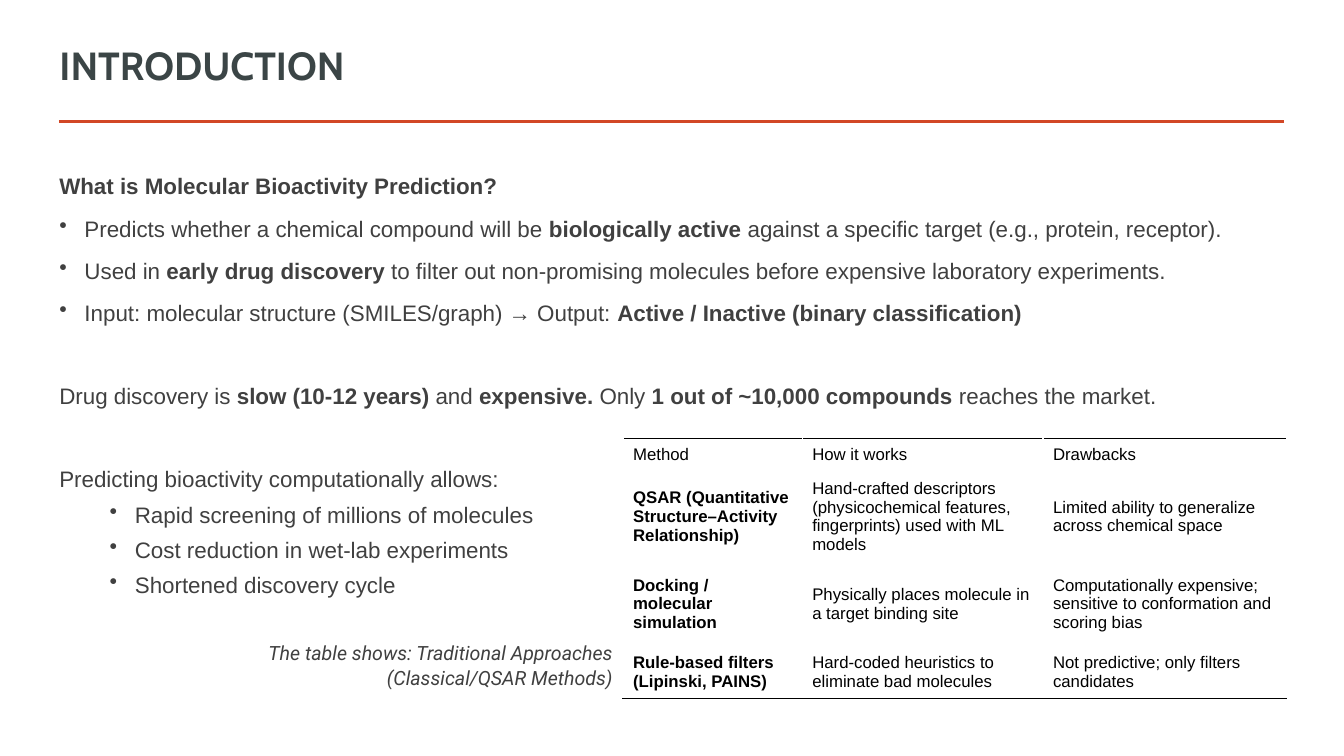
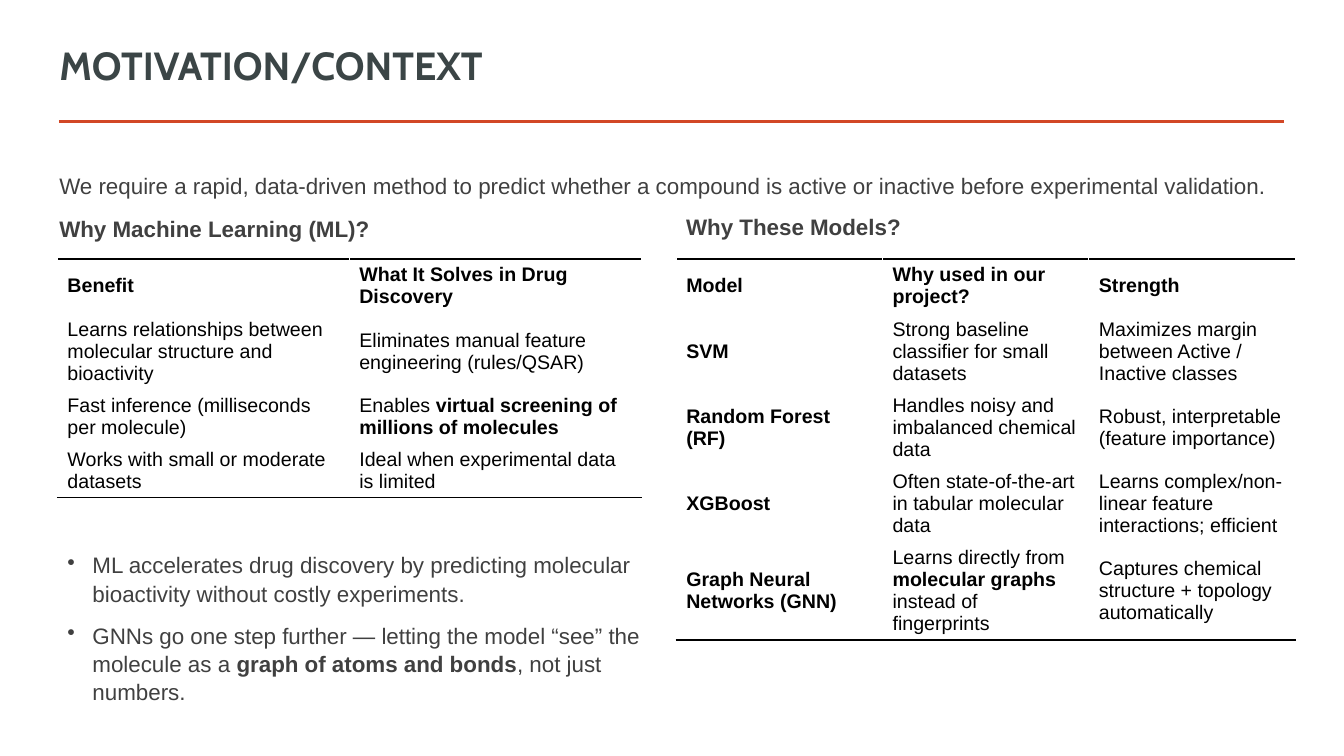
from lxml.etree import SubElement
from pptx import Presentation
from pptx.dml.color import RGBColor
from pptx.enum.shapes import MSO_CONNECTOR
from pptx.enum.text import MSO_ANCHOR, MSO_AUTO_SIZE, PP_ALIGN
from pptx.oxml import parse_xml
from pptx.oxml.ns import qn
from pptx.util import Pt

TOP, MIDDLE = MSO_ANCHOR.TOP, MSO_ANCHOR.MIDDLE
LEFT, RIGHT = PP_ALIGN.LEFT, PP_ALIGN.RIGHT
FIXED = MSO_AUTO_SIZE.NONE
STRAIGHT = MSO_CONNECTOR.STRAIGHT
NS = "http://schemas.openxmlformats.org/drawingml/2006/main"
RED, SLATE, GREY, BLACK = "D24726", "3B4546", "404040", "000000"
GAP, WIDE, TIGHT = 10, 39.3, 5
BULLET, NESTED = 18, 54


def color(code):
    """Turn a hex string into a colour."""
    return RGBColor.from_string(code)


class Deck:
    """Holds the shared style and the current slide."""

    def __init__(self):
        """Open an empty wide deck."""
        self.show = Presentation()
        self.show.slide_width, self.show.slide_height = Pt(960), Pt(540)
        self.slide = None

    def start(self, name):
        """Add a slide with its title and red rule."""
        self.slide = self.show.slides.add_slide(self.show.slide_layouts[5])
        title = self.slide.shapes.title
        title.left, title.top, title.width, title.height = Pt(35.3), Pt(32.4), Pt(720), Pt(50.4)
        frame = title.text_frame
        frame.auto_size, frame.vertical_anchor = FIXED, TOP
        para = frame.paragraphs[0]
        para.alignment, para.line_spacing = LEFT, 0.8
        self.put(para, f"*{name}*", 28, SLATE, "Cabin")
        self.rule()

    def rule(self):
        """Draw the line under the title."""
        line = self.slide.shapes.add_connector(STRAIGHT, Pt(42), Pt(87), Pt(917.3), Pt(87))
        line.line.color.rgb, line.line.width = color(RED), Pt(2)
        SubElement(line._element.spPr, qn("a:effectLst"))

    def put(self, para, text, size, tint, face="Arial", slant=False):
        """Add runs, with bold parts set between asterisks."""
        for rank, part in enumerate(text.split("*")):
            if part:
                run = para.add_run()
                run.text = part
                font = run.font
                font.name, font.size, font.bold, font.italic = face, Pt(size), rank % 2 == 1, slant
                font.color.rgb = color(tint)

    def text(self, box, items, size=16, face="Arial", slant=False, align=LEFT):
        """Add a text box from (text, space before, indent) items."""
        frame = self.slide.shapes.add_textbox(*map(Pt, box)).text_frame
        frame.word_wrap, frame.auto_size = True, FIXED
        for rank, (words, space, indent) in enumerate(items):
            para = frame.add_paragraph() if rank else frame.paragraphs[0]
            para.alignment, para.line_spacing, para.space_before = align, 1.05, Pt(space)
            if indent:
                props = para._p.get_or_add_pPr()
                props.set("marL", str(Pt(indent)))
                props.set("indent", str(-Pt(BULLET)))
                SubElement(props, qn("a:buChar")).set("char", "•")
            self.put(para, words, size, GREY, face, slant)

    def edge(self, cell, side):
        """Draw a thin black border on one side of a cell."""
        cell._tc.get_or_add_tcPr().insert(0, parse_xml(
            f'<a:{side} xmlns:a="{NS}" w="{Pt(1)}"><a:solidFill>'
            f'<a:srgbClr val="{BLACK}"/></a:solidFill></a:{side}>'))

    def table(self, left, top, cols, rows, data, size):
        """Add a plain table ruled above and below."""
        grid = self.slide.shapes.add_table(
            len(rows), len(cols), Pt(left), Pt(top), Pt(sum(cols)), Pt(sum(rows))).table
        grid.first_row = grid.horz_banding = False
        for col, width in zip(grid.columns, cols):
            col.width = Pt(width)
        for row, height in zip(grid.rows, rows):
            row.height = Pt(height)
        for y, line in enumerate(data):
            for x, words in enumerate(line):
                cell = grid.cell(y, x)
                cell.fill.background()
                cell.vertical_anchor = MIDDLE
                self.put(cell.text_frame.paragraphs[0], words, size, BLACK)
                if y == 0:
                    self.edge(cell, "lnT")
                if y == len(data) - 1:
                    self.edge(cell, "lnB")


def intro(deck):
    """Build the introduction."""
    deck.start("INTRODUCTION")
    deck.text((35.3, 118.8, 884, 389), [
        ("*What is Molecular Bioactivity Prediction?*", GAP, 0),
        ("Predicts whether a chemical compound will be *biologically active* against a specific "
         "target (e.g., protein, receptor).", GAP, BULLET),
        ("Used in *early drug discovery* to filter out non-promising molecules before expensive "
         "laboratory experiments.", GAP, BULLET),
        ("Input: molecular structure (SMILES/graph) → Output: "
         "*Active / Inactive (binary classification)*", GAP, BULLET),
        ("Drug discovery is *slow (10-12 years)* and *expensive. *Only "
         "*1 out of ~10,000 compounds* reaches the market.", WIDE, 0),
        ("Predicting bioactivity computationally allows:", WIDE, 0),
        ("Rapid screening of millions of molecules", TIGHT, NESTED),
        ("Cost reduction in wet-lab experiments", TIGHT, NESTED),
        ("Shortened discovery cycle", TIGHT, NESTED),
    ])
    deck.table(445, 313, [128, 172, 174], [23, 66, 59, 38], [
        ("Method", "How it works", "Drawbacks"),
        ("*QSAR (Quantitative Structure–Activity Relationship)*",
         "Hand-crafted descriptors (physicochemical features, fingerprints) used with ML models",
         "Limited ability to generalize across chemical space"),
        ("*Docking / molecular simulation*",
         "Physically places molecule in a target binding site",
         "Computationally expensive; sensitive to conformation and scoring bias"),
        ("*Rule-based filters (Lipinski, PAINS)*",
         "Hard-coded heuristics to eliminate bad molecules",
         "Not predictive; only filters candidates"),
    ], 12)
    deck.text((177, 453.6, 268, 54), [
        ("The table shows: Traditional Approaches (Classical/QSAR Methods)", GAP, 0),
    ], 14, "Roboto", True, RIGHT)


def motive(deck):
    """Build the motivation."""
    deck.start("MOTIVATION/CONTEXT")
    deck.text((35.3, 118.8, 884, 60), [
        ("We require a rapid, data-driven method to predict whether a compound is active or "
         "inactive before experimental validation.", GAP, 0),
        ("*Why Machine Learning (ML)?*", GAP, 0),
    ])
    deck.table(41, 185, [208.5] * 2, [37, 52, 37, 37], [
        ("*Benefit*", "*What It Solves in Drug Discovery*"),
        ("Learns relationships between molecular structure and bioactivity",
         "Eliminates manual feature engineering (rules/QSAR)"),
        ("Fast inference (milliseconds per molecule)",
         "Enables *virtual screening of millions of molecules*"),
        ("Works with small or moderate datasets", "Ideal when experimental data is limited"),
    ], 14)
    deck.text((483, 148.1, 400, 30), [("*Why These Models?*", GAP, 0)])
    deck.table(483, 185, [147.4] * 3, [37, 52, 52, 52, 68], [
        ("*Model*", "*Why used in our project?*", "*Strength*"),
        ("*SVM*", "Strong baseline classifier for small datasets",
         "Maximizes margin between Active / Inactive classes"),
        ("*Random Forest (RF)*", "Handles noisy and imbalanced chemical data",
         "Robust, interpretable (feature importance)"),
        ("*XGBoost*", "Often state-of-the-art in tabular molecular data",
         "Learns complex/non-linear feature interactions; efficient"),
        ("*Graph Neural Networks (GNN)*",
         "Learns directly from *molecular graphs* instead of fingerprints",
         "Captures chemical structure + topology automatically"),
    ], 14)
    deck.text((41, 389.5, 435, 106.5), [
        ("ML accelerates drug discovery by predicting molecular bioactivity without costly "
         "experiments.", GAP, BULLET),
        ("GNNs go one step further — letting the model “see” the molecule as a "
         "*graph of atoms and bonds*, not just numbers.", GAP, BULLET),
    ])


def main():
    """Build and save the deck."""
    deck = Deck()
    intro(deck)
    motive(deck)
    deck.show.save("out.pptx")


if __name__ == "__main__":
    main()
